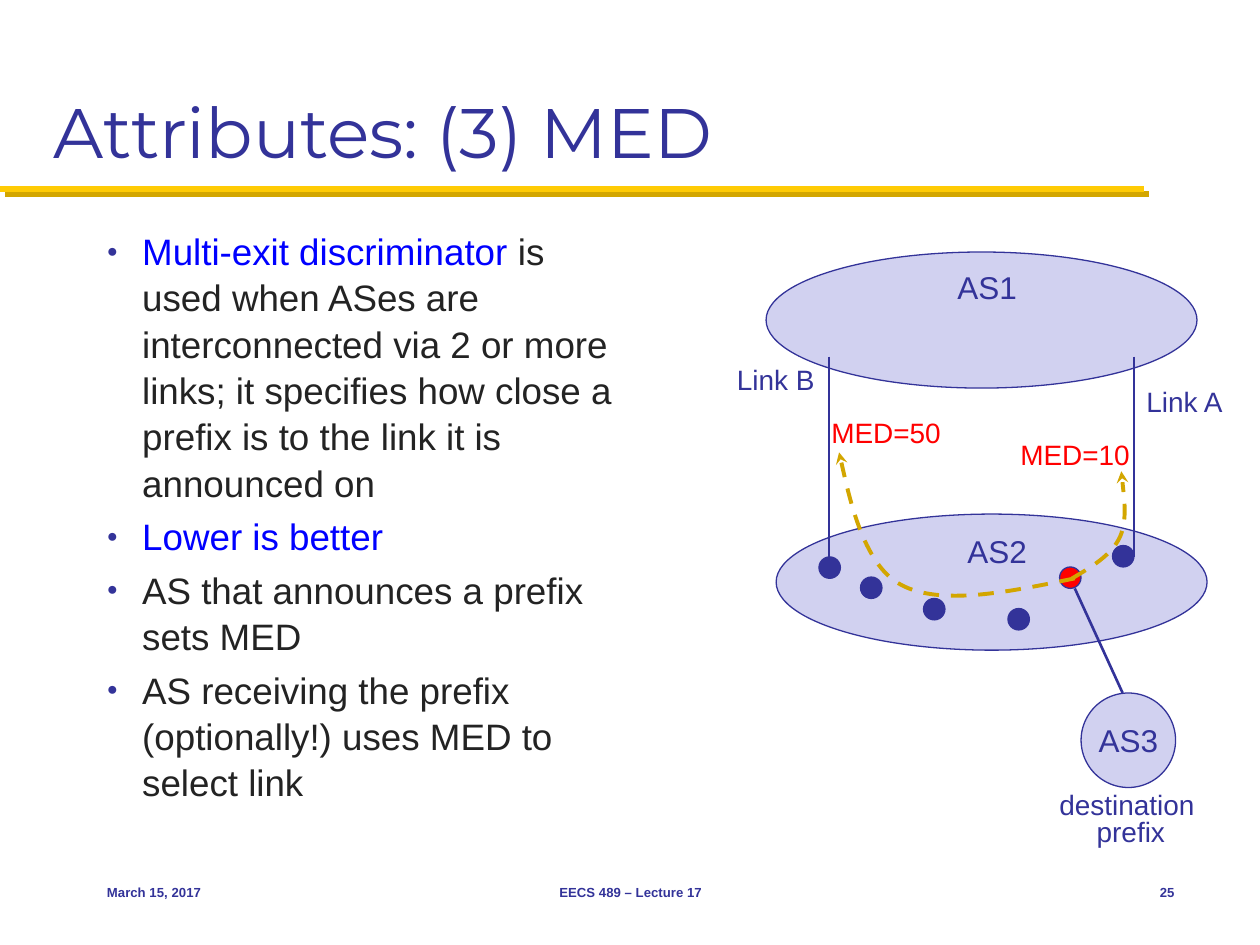
from dataclasses import dataclass

from lxml import etree
from pptx import Presentation
from pptx.dml.color import RGBColor
from pptx.enum.dml import MSO_LINE
from pptx.enum.shapes import MSO_CONNECTOR, MSO_SHAPE
from pptx.enum.text import MSO_ANCHOR, PP_ALIGN
from pptx.oxml.ns import qn
from pptx.util import Inches, Pt

LEFT, CENTER, RIGHT = PP_ALIGN.LEFT, PP_ALIGN.CENTER, PP_ALIGN.RIGHT
TOP, MIDDLE, BOTTOM = MSO_ANCHOR.TOP, MSO_ANCHOR.MIDDLE, MSO_ANCHOR.BOTTOM
STRAIGHT, OVAL, DASH = MSO_CONNECTOR.STRAIGHT, MSO_SHAPE.OVAL, MSO_LINE.DASH

NAVY, PALE, RED, BLUE = "333399", "D1D1F0", "FF0000", "0000FF"
INK, YELLOW, GOLD = "232323", "FFCB05", "D3A600"
DOT = 0.17
Point = tuple[float, float]


@dataclass
class Label:
    text: str
    left: float
    top: float
    width: float
    height: float
    size: float = 16
    color: str = NAVY
    align: int = LEFT
    anchor: int = TOP
    wrap: bool = False
    bold: bool = False
    font: str = "Arial"
    spacing: float = 1.0


@dataclass
class Ellipse:
    left: float
    top: float
    width: float
    height: float
    fill: str = PALE


def rgb(color: str) -> RGBColor:
    return RGBColor.from_string(color)


def style_font(font, name: str, size: float, color: str, bold: bool = False) -> None:
    font.name, font.size, font.bold = name, Pt(size), bold
    font.color.rgb = rgb(color)


def add_label(page, label: Label) -> None:
    box = page.shapes.add_textbox(Inches(label.left), Inches(label.top),
                                  Inches(label.width), Inches(label.height))
    frame = box.text_frame
    frame.word_wrap = label.wrap
    frame.vertical_anchor = label.anchor
    frame.text = label.text
    para = frame.paragraphs[0]
    para.alignment = label.align
    para.line_spacing = label.spacing
    for span in para.runs:
        style_font(span.font, label.font, label.size, label.color, label.bold)


def add_ellipse(page, ellipse: Ellipse) -> None:
    shape = page.shapes.add_shape(OVAL, Inches(ellipse.left), Inches(ellipse.top),
                                  Inches(ellipse.width), Inches(ellipse.height))
    shape.shadow.inherit = False
    shape.fill.solid()
    shape.fill.fore_color.rgb = rgb(ellipse.fill)
    shape.line.color.rgb = rgb(NAVY)
    shape.line.width = Pt(0.75)


def add_line(page, start: Point, end: Point, color: str = NAVY, width: float = 1.5):
    """Draw a straight line and return its effect list."""
    line = page.shapes.add_connector(STRAIGHT, *map(Inches, start + end))
    line.line.color.rgb = rgb(color)
    line.line.width = Pt(width)
    return etree.SubElement(line._element.spPr, qn("a:effectLst"))


def add_route(page, points: list[Point]) -> None:
    """Draw a dashed Bézier arrow: a start, then three points per curve."""
    corners = [(Inches(x), Inches(y)) for x, y in points]
    builder = page.shapes.build_freeform(*corners[0])
    builder.add_line_segments(corners[1:], close=False)
    route = builder.convert_to_shape()
    route.shadow.inherit = False
    route.fill.background()
    route.line.color.rgb = rgb(GOLD)
    route.line.width = Pt(2.25)
    route.line.dash_style = DASH
    etree.SubElement(route.line._get_or_add_ln(), qn("a:tailEnd"), type="stealth")

    # Turn each group of three straight segments into one cubic curve
    outline = next(route._element.iter(qn("a:path")))
    segments = outline.findall(qn("a:lnTo"))
    for first in range(0, len(segments), 3):
        curve = etree.SubElement(outline, qn("a:cubicBezTo"))
        for segment in segments[first:first + 3]:
            curve.append(segment[0])
            outline.remove(segment)


def add_bullets(page, items: list[list[tuple[str, str]]]) -> None:
    box = page.shapes.add_textbox(Inches(0.75), Inches(1.75), Inches(4.25), Inches(4.83))
    frame = box.text_frame
    frame.word_wrap = True
    for index, spans in enumerate(items):
        para = frame.add_paragraph() if index else frame.paragraphs[0]
        para.line_spacing = 1.05
        para.space_before = Pt(4.2 if index else 0)
        props = para._p.get_or_add_pPr()
        props.set("marL", str(Inches(0.28)))
        props.set("indent", str(-Inches(0.28)))
        bullet_color = etree.SubElement(props, qn("a:buClr"))
        etree.SubElement(bullet_color, qn("a:srgbClr"), val=NAVY)
        etree.SubElement(props, qn("a:buSzPct"), val="50000")
        etree.SubElement(props, qn("a:buFont"), typeface="Arial")
        etree.SubElement(props, qn("a:buChar"), char="●")
        for text, color in spans:
            span = para.add_run()
            span.text = text
            style_font(span.font, "Arial", 21, color)


BULLETS = [
    [("Multi-exit discriminator ", BLUE),
     ("is used when ASes are interconnected via 2 or more links; "
      "it specifies how close a prefix is to the link it is announced on", INK)],
    [("Lower is better", BLUE)],
    [("AS that announces a prefix sets MED", INK)],
    [("AS receiving the prefix (optionally!) uses MED to select link", INK)],
]
SYSTEMS = [Ellipse(6.08, 2, 3.42, 1.08), Ellipse(6.16, 4.08, 3.42, 1.08),
           Ellipse(8.58, 5.5, 0.75, 0.75)]
ROUTERS = [(6.5, 4.42), (6.83, 4.58), (7.33, 4.75), (8, 4.83), (8.83, 4.33)]
ORIGIN_ROUTER = (8.41, 4.5)
LINKS = [((6.58, 2.83), (6.58, 4.42)), ((9, 2.83), (9, 4.42)),
         ((8.53, 4.67), (8.91, 5.5))]
LABELS = [
    Label("Link B", 5.75, 2.83, 0.82, 0.37),
    Label("Link A", 9, 3, 0.84, 0.37),
    Label("MED=10", 8, 3.42, 1.08, 0.37, color=RED),
    Label("MED=50", 6.5, 3.25, 1.08, 0.37, color=RED),
    Label("AS1", 7.5, 2.08, 0.68, 0.4, 18),
    Label("AS2", 7.58, 4.17, 0.68, 0.4, 18),
    Label("AS3", 8.62, 5.67, 0.68, 0.4, 18),
    Label("destination \vprefix", 8.3, 6.25, 1.35, 0.53, align=CENTER, wrap=True,
          spacing=0.8),
]
ROUTES = [
    [(8.53, 4.59), (8, 4.7), (7.46, 4.81), (7.15, 4.64),
     (6.84, 4.48), (6.66, 3.59), (6.66, 3.59)],
    [(8.51, 4.59), (8.66, 4.5), (8.82, 4.41), (8.89, 4.26),
     (8.95, 4.12), (8.9, 3.74), (8.9, 3.74)],
]
FOOTERS = [("March 15, 2017", 0.75, 2.08, LEFT),
           ("EECS 489 – Lecture 17", 3.42, 3.17, CENTER),
           ("25", 8.75, 0.67, RIGHT)]


def main() -> None:
    deck = Presentation()
    deck.slide_width, deck.slide_height = Inches(10), Inches(7.5)
    page = deck.slides.add_slide(deck.slide_layouts[6])

    # Title and its shadowed rule
    effects = add_line(page, (0, 1.5), (9.08, 1.5), YELLOW, 3.5)
    shadow = etree.SubElement(effects, qn("a:outerShdw"), dist=str(Pt(4.2)),
                              dir=str(45 * 60000), algn="ctr", rotWithShape="0")
    etree.SubElement(shadow, qn("a:srgbClr"), val=GOLD)
    add_label(page, Label("Attributes: (3) MED", 0.33, 0.17, 9.33, 1.25, 40,
                          anchor=BOTTOM, wrap=True, font="Montserrat"))

    add_bullets(page, BULLETS)

    # Network diagram
    for system in SYSTEMS:
        add_ellipse(page, system)
    for start, end in LINKS:
        add_line(page, start, end)
    for left, top in ROUTERS:
        add_ellipse(page, Ellipse(left, top, DOT, DOT, NAVY))
    add_ellipse(page, Ellipse(*ORIGIN_ROUTER, DOT, DOT, RED))
    for label in LABELS:
        add_label(page, label)
    for points in ROUTES:
        add_route(page, points)

    # Footer
    for text, left, width, align in FOOTERS:
        add_label(page, Label(text, left, 6.83, width, 0.5, 7.5, align=align,
                              anchor=MIDDLE, wrap=True, bold=True))

    deck.save("out.pptx")


if __name__ == "__main__":
    main()
